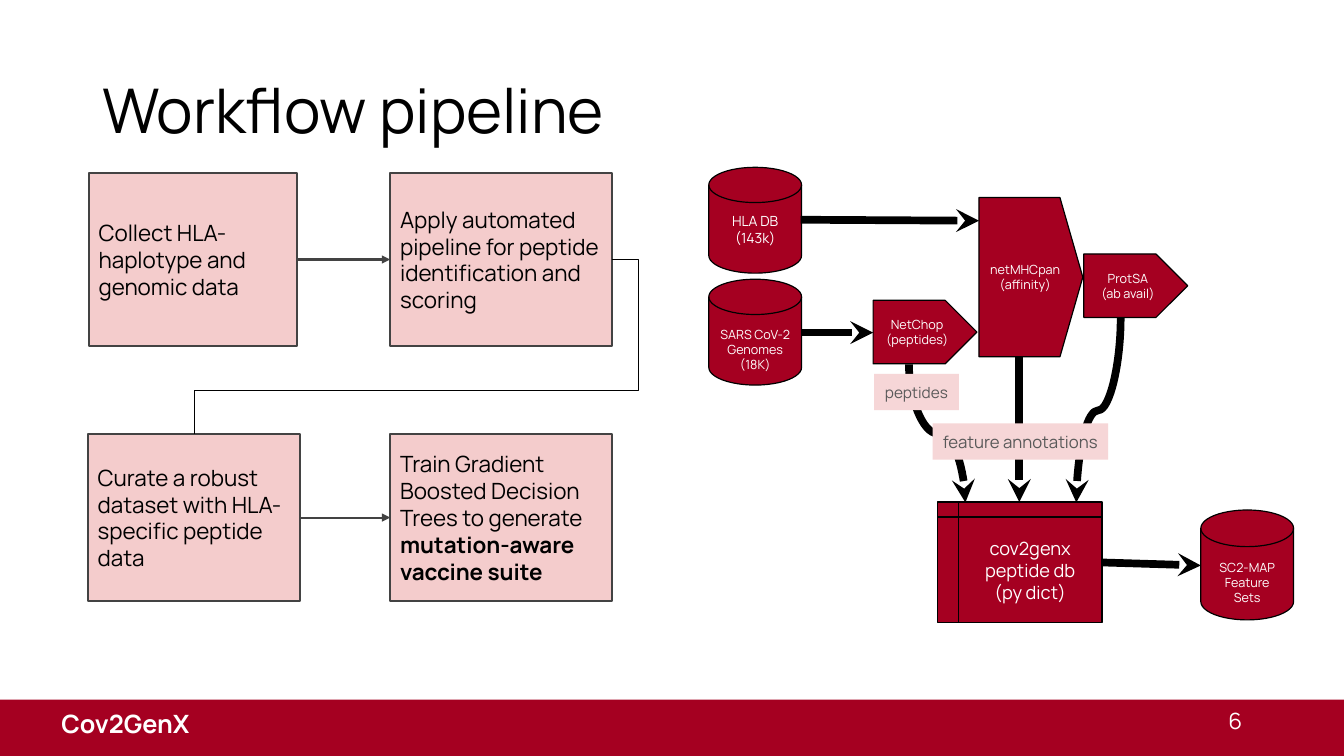
from dataclasses import dataclass
from typing import Any

from lxml.etree import SubElement
from pptx import Presentation
from pptx.dml.color import RGBColor
from pptx.enum.shapes import MSO_CONNECTOR as Link, MSO_SHAPE as Form
from pptx.enum.text import MSO_ANCHOR as Anchor, MSO_AUTO_SIZE as AutoSize, PP_ALIGN as Align
from pptx.oxml.ns import qn
from pptx.util import Inches, Pt

FONT = "Manrope"
RED, WHITE, BLACK = "A50021", "FFFFFF", "000000"
PINK, PALE, SLATE, GREY = "F4CCCC", "F6D6D7", "434343", "595959"
TOP, LEFT, RIGHT = 0, 1, 3  # connection sites of a rectangle


@dataclass
class Node:
    """A filled shape with centred text, one paragraph per line."""
    form: Any
    at: tuple[float, float, float, float]
    text: str
    size: float = 9
    adjust: float | None = None
    fill: str = RED
    ink: str = WHITE
    border: str | None = BLACK
    top_inset: float = 0.05


@dataclass
class Arrow:
    """A thick arrow; turn is the rotation of its frame in degrees."""
    start: tuple[float, float]
    end: tuple[float, float]
    kind: Any = Link.STRAIGHT
    turn: int = 0


@dataclass
class Step:
    at: tuple[float, float, float, float]
    text: str
    strong: str = ""


STEPS = [
    Step((0.88, 1.72, 2.07, 1.71), "Collect HLA-haplotype and genomic data"),
    Step((3.87, 1.72, 2.2, 1.71), "Apply automated pipeline for peptide identification and scoring"),
    Step((0.87, 4.31, 2.11, 1.65), "Curate a robust dataset with HLA-specific peptide data"),
    Step((3.87, 4.31, 2.2, 1.65), "Train Gradient Boosted Decision Trees to generate ",
         "mutation-aware vaccine suite"),
]

# Listed from back to front
PIPELINE = [
    Node(Form.FLOWCHART_MAGNETIC_DISK, (7.03, 2.77, 0.92, 1.05),
         "SARS CoV-2 Genomes (18K)", top_inset=0.22),
    Node(Form.FLOWCHART_INTERNAL_STORAGE, (9.3, 4.98, 1.63, 1.2),
         "cov2genx\npeptide db\n(py dict)", 13),
    Node(Form.PENTAGON, (8.66, 2.98, 1.03, 0.63), "NetChop\n(peptides)", adjust=0.5),
    Arrow((9.98, 4.02), (8.61, 4.58), Link.CURVE, 270),
    Node(Form.PENTAGON, (9.71, 1.96, 1.03, 1.58), "netMHCpan\n(affinity)", adjust=0.22),
    Node(Form.PENTAGON, (10.75, 2.52, 1.03, 0.63), "ProtSA\n(ab avail)", adjust=0.5),
    Arrow((9.98, 3.85), (11.81, 4.29), Link.CURVE, 90),
    Arrow((10.11, 3.54), (10.11, 4.98)),
    Arrow((7.95, 3.3), (8.66, 3.3)),
    Node(Form.RECTANGLE, (9.25, 4.2, 1.74, 0.36), "feature annotations", 12,
         fill=PALE, ink=GREY, border=None),
    Node(Form.RECTANGLE, (8.67, 3.71, 0.84, 0.36), "peptides", 11,
         fill=PALE, ink=GREY, border=None),
    Arrow((10.93, 5.58), (11.91, 5.61)),
    Node(Form.FLOWCHART_MAGNETIC_DISK, (11.91, 5.06, 0.92, 1.09),
         "SC2-MAP\nFeature Sets", top_inset=0.22),
    Node(Form.FLOWCHART_MAGNETIC_DISK, (7.03, 1.66, 0.92, 1.05), "HLA DB\n(143k)", 10),
    Arrow((7.94, 2.18), (9.71, 2.19)),
]


def colour(value: str) -> RGBColor:
    return RGBColor.from_string(value)


def apply(target: Any, formats: dict[str, Any]) -> None:
    for name, value in formats.items():
        setattr(target, name, value)


def place(shape: Any, at: tuple) -> None:
    apply(shape, dict(zip(("left", "top", "width", "height"), map(Inches, at))))


def add_span(para: Any, text: str, size: float, ink: str, bold: bool = False) -> None:
    span = para.add_run()
    span.text = text
    apply(span.font, {"name": FONT, "size": Pt(size), "bold": bold})
    span.font.color.rgb = colour(ink)


def set_frame(frame: Any, anchor: Any = Anchor.MIDDLE, top: float = 0.05,
              bottom: float = 0.05) -> None:
    apply(frame, {"word_wrap": True, "auto_size": AutoSize.NONE, "vertical_anchor": anchor,
                  "margin_left": Inches(0.1), "margin_right": Inches(0.1),
                  "margin_top": Inches(top), "margin_bottom": Inches(bottom)})


def add_box(page: Any, form: Any, at: tuple, fill: str, border: str | None = None,
            weight: float = 1) -> Any:
    box = page.shapes.add_shape(form, *map(Inches, at))
    box.shadow.inherit = False
    box.fill.solid()
    box.fill.fore_color.rgb = colour(fill)
    if border:
        box.line.color.rgb = colour(border)
        box.line.width = Pt(weight)
    else:
        box.line.fill.background()
    return box


def add_node(page: Any, node: Node) -> None:
    box = add_box(page, node.form, node.at, node.fill, node.border, 0.85)
    if node.adjust is not None:
        box.adjustments[0] = node.adjust
    set_frame(box.text_frame, top=node.top_inset)
    for index, line in enumerate(node.text.split("\n")):
        para = box.text_frame.add_paragraph() if index else box.text_frame.paragraphs[0]
        para.alignment = Align.CENTER
        add_span(para, line, node.size, node.ink)


def add_step(page: Any, step: Step) -> Any:
    box = add_box(page, Form.RECTANGLE, step.at, PINK, SLATE, 1.5)
    set_frame(box.text_frame, top=0.1, bottom=0.1)
    para = box.text_frame.paragraphs[0]
    para.alignment = Align.LEFT
    add_span(para, step.text, 16, BLACK)
    if step.strong:
        add_span(para, step.strong, 16, BLACK, bold=True)
    return box


def add_link(page: Any, kind: Any, start: tuple, end: tuple, ink: str, weight: float,
             head: str | None = None) -> Any:
    link = page.shapes.add_connector(kind, *map(Inches, start + end))
    link.line.color.rgb = colour(ink)
    link.line.width = Pt(weight)
    properties = link._element.spPr
    if head:
        SubElement(properties.find(qn("a:ln")), qn("a:tailEnd"), type=head)
    SubElement(properties, qn("a:effectLst"))
    return link


def add_arrow(page: Any, arrow: Arrow) -> None:
    link = add_link(page, arrow.kind, arrow.start, arrow.end, BLACK, 5.5, "stealth")
    if arrow.turn:
        link._element.spPr.find(qn("a:xfrm")).set("rot", str(arrow.turn * 60000))


def join_steps(page: Any, first: Any, second: Any) -> None:
    link = add_link(page, Link.STRAIGHT, (0, 0), (1, 1), SLATE, 1.5, "triangle")
    link.begin_connect(first, RIGHT)
    link.end_connect(second, LEFT)


def wrap_rows(page: Any, first: Any, second: Any) -> None:
    """Lead from the end of one row of steps to the start of the next."""
    link = add_link(page, Link.ELBOW, (6.07, 2.58), (1.92, 4.31), BLACK, 0.75)
    link.begin_connect(first, RIGHT)
    link.end_connect(second, TOP)
    outline = link._element.spPr.find(qn("a:prstGeom"))
    outline.set("prst", "bentConnector4")
    guides = outline.find(qn("a:avLst"))
    for name, value in (("adj1", -6300), ("adj2", 74800)):
        SubElement(guides, qn("a:gd"), name=name, fmla=f"val {value}")


def main() -> None:
    deck = Presentation()
    apply(deck, {"slide_width": Inches(13.33), "slide_height": Inches(7.5)})
    page = deck.slides.add_slide(deck.slide_layouts[5])

    # Title
    title = page.shapes.title
    place(title, (0.92, 0.4, 11.5, 1.45))
    set_frame(title.text_frame)
    para = title.text_frame.paragraphs[0]
    apply(para, {"alignment": Align.LEFT, "line_spacing": 0.9})
    add_span(para, "Workflow pipeline", 44, BLACK)

    # Footer band, project name and page number
    add_box(page, Form.RECTANGLE, (0, 6.94, 13.33, 0.56), RED)
    project = add_box(page, Form.RECTANGLE, (0.51, 7, 3.33, 0.43), RED)
    set_frame(project.text_frame, Anchor.BOTTOM, 0.1, 0.1)
    project.text_frame.paragraphs[0].alignment = Align.LEFT
    add_span(project.text_frame.paragraphs[0], "Cov2GenX", 18, WHITE, bold=True)
    number = page.shapes.add_textbox(*map(Inches, (9.42, 6.95, 3, 0.4)))
    set_frame(number.text_frame)
    number.text_frame.paragraphs[0].alignment = Align.RIGHT
    add_span(number.text_frame.paragraphs[0], "6", 16, WHITE)

    # Workflow steps
    collect, score, curate, train = [add_step(page, step) for step in STEPS]
    join_steps(page, collect, score)
    join_steps(page, curate, train)
    wrap_rows(page, score, curate)

    # Data pipeline
    for part in PIPELINE:
        add_node(page, part) if isinstance(part, Node) else add_arrow(page, part)

    deck.save("out.pptx")


if __name__ == "__main__":
    main()
